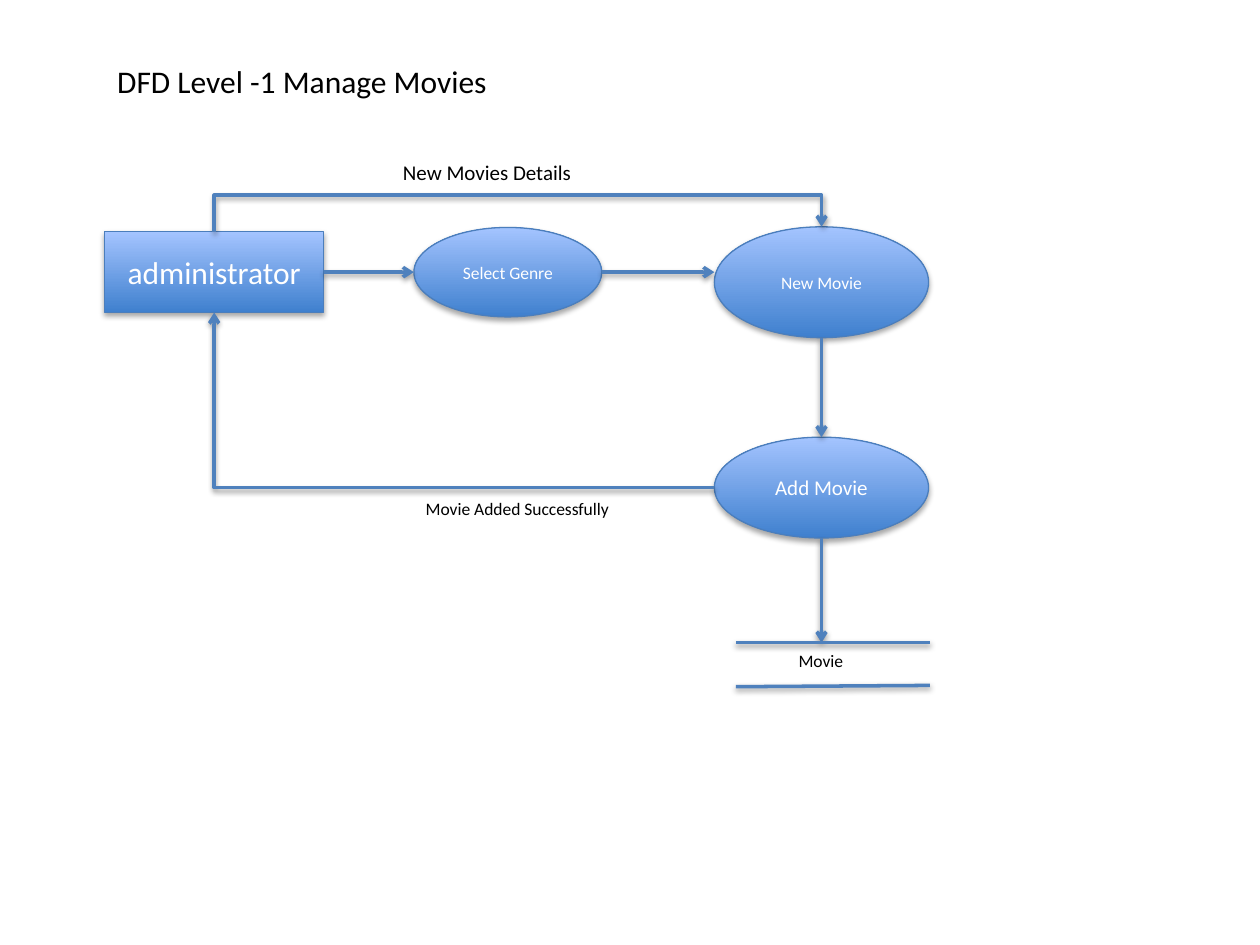
"""Build the level 1 data flow diagram for managing movies."""
import pptx
import pptx.dml.color
import pptx.enum.shapes
import pptx.enum.text
import pptx.oxml
import pptx.oxml.ns
import pptx.util

Inches = pptx.util.Inches
qn = pptx.oxml.ns.qn
SHAPES = pptx.enum.shapes.MSO_SHAPE
CONNECTORS = pptx.enum.shapes.MSO_CONNECTOR
ANCHOR = pptx.enum.text.MSO_ANCHOR
ALIGN = pptx.enum.text.PP_ALIGN

COLORS = {
    "text": "000000", "node_text": "FFFFFF", "top": "A4C4FF", "bottom": "3F80CE",
    "outline": "4B7EBC", "flow": "4F81BD", "shadow": "000000",
}
FONT = "Calibri"
COLUMNS = {"admin": 1.7, "genre": 4.03, "movie": 6.52}
ROWS = {"detour": 1.55, "flow": 2.16, "new": 2.24, "add": 3.87, "store": 5.1}
STORE = {"left": 5.84, "right": 7.38, "bottom": 5.45}


def color(name):
    """Return a named colour of the palette."""
    return pptx.dml.color.RGBColor.from_string(COLORS[name])


def add_shadow(shape, opacity, distance):
    """Give a shape a soft shadow that falls straight down."""
    properties = shape.element.spPr
    properties.append(pptx.oxml.parse_xml(
        f'<a:effectLst {pptx.oxml.ns.nsdecls("a")}>'
        f'<a:outerShdw blurRad="40000" dist="{distance}" dir="5400000" rotWithShape="0">'
        f'<a:srgbClr val="{COLORS["shadow"]}"><a:alpha val="{opacity * 1000}"/></a:srgbClr>'
        '</a:outerShdw></a:effectLst>'))


def write(shape, text, *, size, ink="text", align=ALIGN.LEFT, anchor=ANCHOR.TOP, wrap=False):
    """Write one formatted paragraph into a shape."""
    frame = shape.text_frame
    frame.word_wrap = wrap
    frame.vertical_anchor = anchor
    sizing = pptx.enum.text.MSO_AUTO_SIZE
    frame.auto_size = sizing.NONE if wrap else sizing.SHAPE_TO_FIT_TEXT
    para = frame.paragraphs[0]
    para.alignment = align
    span = para.add_run()
    span.text = text
    span.font.name = FONT
    span.font.size = pptx.util.Pt(size)
    span.font.color.rgb = color(ink)


def add_label(page, text, left, top, width, height, size):
    """Add a free-standing text label."""
    box = page.shapes.add_textbox(*map(Inches, (left, top, width, height)))
    write(box, text, size=size)


def add_node(page, kind, text, column, row, width, height, size):
    """Add a gradient node centred on a column and row, and return its edges."""
    x, y = COLUMNS[column], ROWS[row]
    left, top = x - width / 2, y - height / 2
    node = page.shapes.add_shape(kind, *map(Inches, (left, top, width, height)))
    node.fill.gradient()
    node.fill.gradient_angle = 90
    for stop, name in zip(node.fill.gradient_stops, ("bottom", "top")):
        stop.color.rgb = color(name)
    node.line.color.rgb = color("outline")
    node.line.width = pptx.util.Pt(0.75)
    add_shadow(node, 35, 23000)
    write(node, text, size=size, ink="node_text", align=ALIGN.CENTER,
          anchor=ANCHOR.MIDDLE, wrap=True)
    return {"left": left, "right": left + width, "top": top, "bottom": top + height}


def add_line(page, start, end, arrow=True, kind=CONNECTORS.STRAIGHT):
    """Add a flow line, with an arrowhead at its end if wanted."""
    line = page.shapes.add_connector(kind, *map(Inches, (*start, *end)))
    line.line.color.rgb = color("flow")
    line.line.width = pptx.util.Pt(2)
    if arrow:
        outline = line.element.spPr.find(qn("a:ln"))
        outline.append(outline.makeelement(qn("a:tailEnd"), {"type": "arrow"}))
    add_shadow(line, 38, 20000)
    return line


def turn(line, degrees, flipped):
    """Set the rotation and flips of a connector."""
    frame = line.element.spPr.find(qn("a:xfrm"))
    frame.set("rot", str(degrees * 60000))
    for name in ("flipH", "flipV"):
        frame.set(name, str(int(flipped)))


def add_detour(page, start, end, height):
    """Add an arrow that rises to a height, crosses and drops to its end."""
    line = add_line(page, start, end, kind=CONNECTORS.ELBOW)
    rise, span = start[1] - end[1], end[0] - start[0]
    line.left = Inches((start[0] + end[0] - rise) / 2)
    line.top = Inches((start[1] + end[1] - span) / 2)
    line.width, line.height = Inches(rise), Inches(span)
    turn(line, 90, True)
    guides = line.element.spPr.find(qn("a:prstGeom")).get_or_add_avLst()
    share = round((start[1] - height) / rise * 100000)
    guides.append(guides.makeelement(qn("a:gd"), {"name": "adj1", "fmla": f"val {share}"}))


def add_corner(page, start, end):
    """Add an arrow that runs left and then up."""
    line = add_line(page, end, start, kind=CONNECTORS.ELBOW)
    line.left, line.top = Inches(end[0]), Inches(end[1])
    line.width, line.height = Inches(start[0] - end[0]), Inches(start[1] - end[1])
    line.element.spPr.find(qn("a:prstGeom")).set("prst", "bentConnector2")
    turn(line, 180, False)


def add_title(page, text):
    """Place and format the slide title."""
    title = page.shapes.title
    title.left, title.top, title.width, title.height = map(Inches, (0.83, 0.44, 3.18, 0.4))
    write(title, text, size=18)


def main():
    """Build and save the diagram."""
    deck = pptx.Presentation()
    deck.slide_width, deck.slide_height = Inches(10), Inches(7.5)
    page = deck.slides.add_slide(deck.slide_layouts[5])
    add_title(page, "DFD Level -1 Manage Movies")

    admin = add_node(page, SHAPES.RECTANGLE, "administrator", "admin", "flow", 1.74, 0.64, 18)
    genre = add_node(page, SHAPES.OVAL, "Select Genre", "genre", "flow", 1.49, 0.71, 10)
    new = add_node(page, SHAPES.OVAL, "New Movie", "movie", "new", 1.7, 0.88, 10)
    add = add_node(page, SHAPES.OVAL, "Add Movie", "movie", "add", 1.7, 0.8, 12)

    for source, target in ((admin, genre), (genre, new)):
        add_line(page, (source["right"], ROWS["flow"]), (target["left"], ROWS["flow"]))
    for start, end in ((new["bottom"], add["top"]), (add["bottom"], ROWS["store"])):
        add_line(page, (COLUMNS["movie"], start), (COLUMNS["movie"], end))
    add_detour(page, (COLUMNS["admin"], admin["top"]), (COLUMNS["movie"], new["top"]),
               ROWS["detour"])
    add_corner(page, (add["left"], ROWS["add"]), (COLUMNS["admin"], admin["bottom"]))

    for left_end, right_end in ((ROWS["store"], ROWS["store"]),
                                (STORE["bottom"], STORE["bottom"] - 0.01)):
        add_line(page, (STORE["left"], left_end), (STORE["right"], right_end), arrow=False)

    add_label(page, "New Movies Details", 3.1, 1.22, 1.56, 0.3, 12)
    add_label(page, "Movie", 6.24, 5.11, 0.56, 0.27, 10)
    add_label(page, "Movie Added Successfully", 3.28, 3.9, 1.69, 0.27, 10)
    deck.save("out.pptx")


main()
